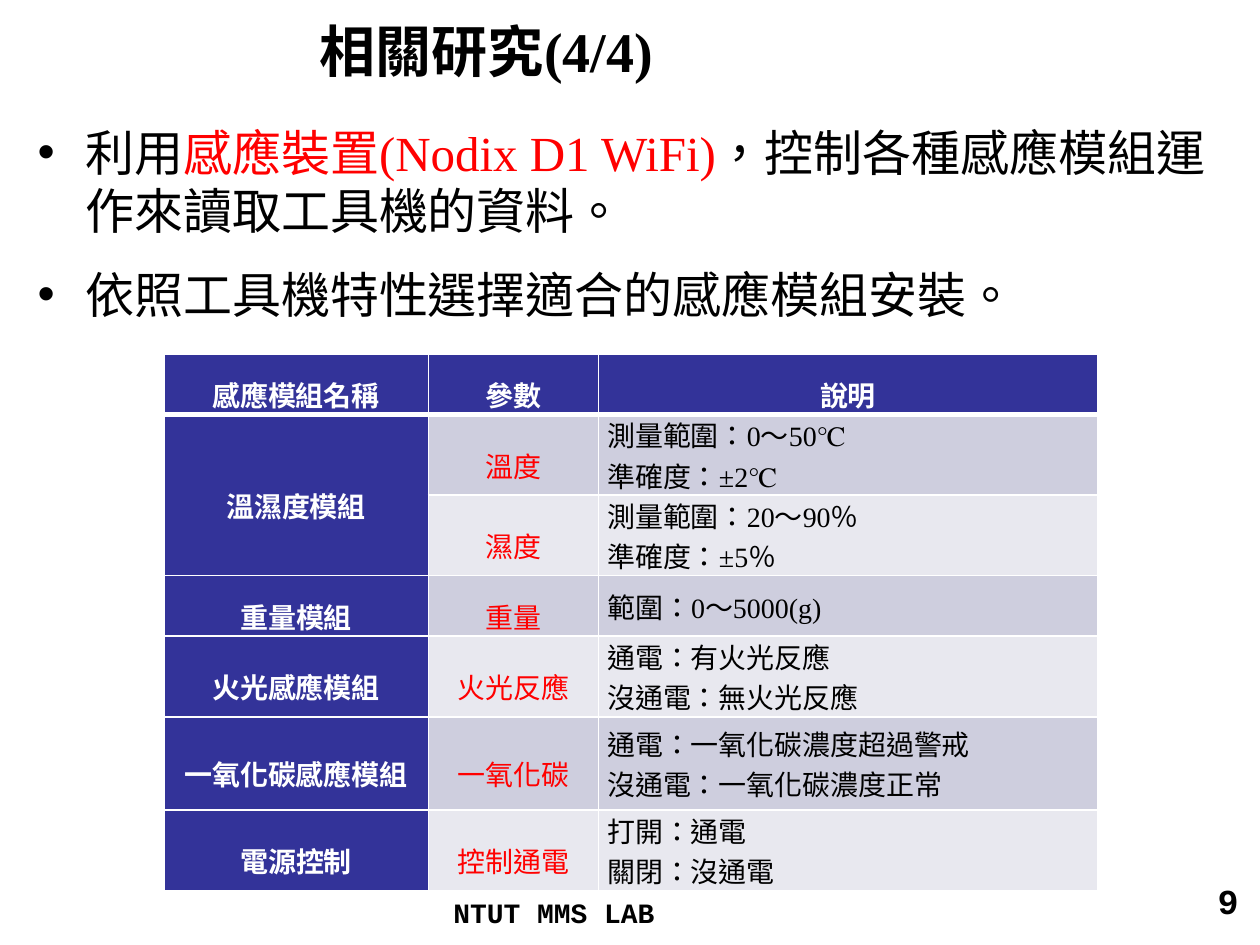
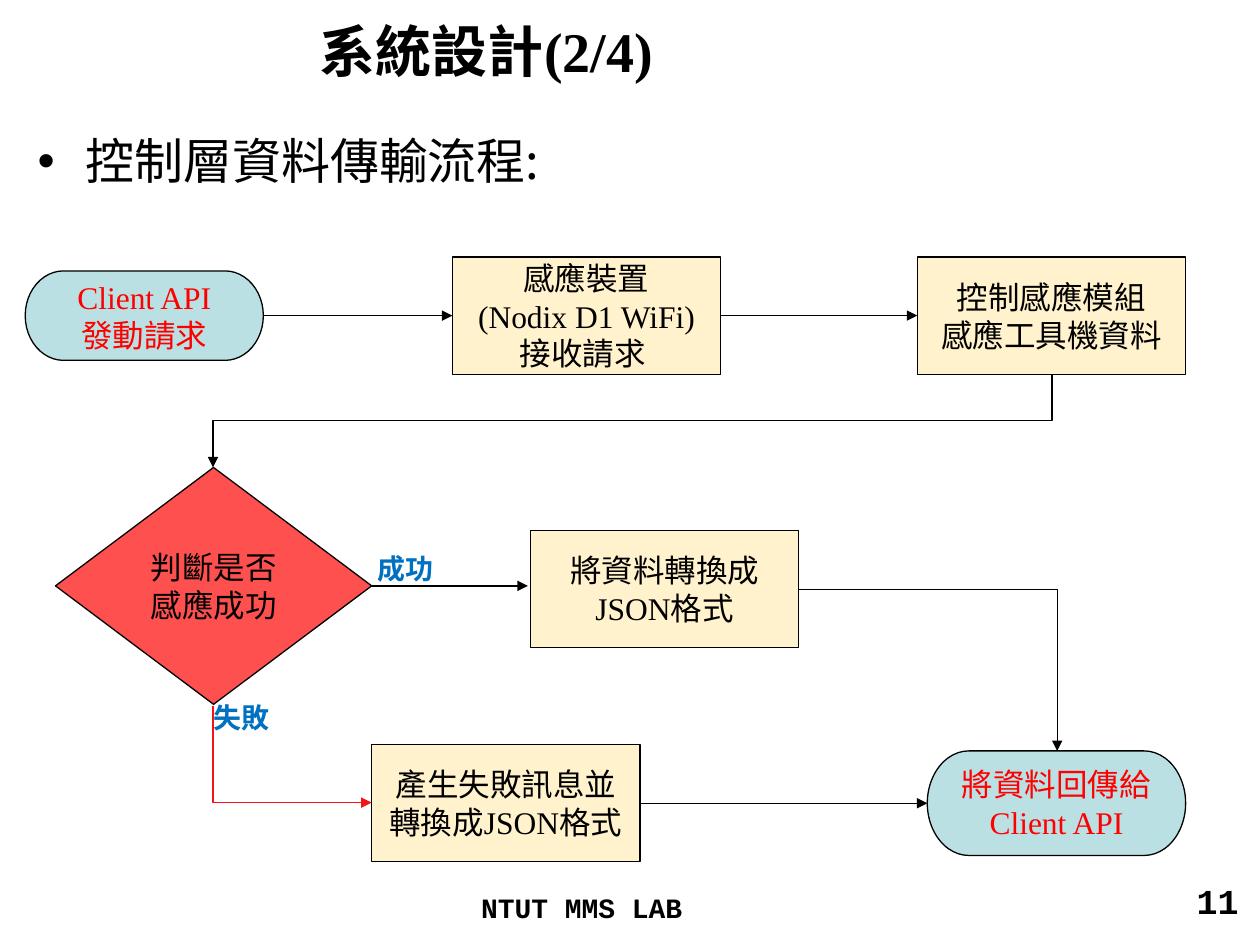
from pptx import Presentation
from pptx.dml.color import RGBColor
from pptx.enum.lang import MSO_LANGUAGE_ID as LANG
from pptx.enum.shapes import MSO_CONNECTOR as CONN, MSO_SHAPE as SHAPE
from pptx.enum.text import MSO_ANCHOR as ANCHOR, PP_ALIGN as ALIGN
from pptx.oxml.ns import qn
from pptx.util import Inches, Pt
from lxml import etree

COLORS = {
    "black": "000000", "white": "FFFFFF", "red": "FF0000", "label": "0070C0",
    "header": "333399", "band_dark": "CECEDE", "band_light": "E8E8EF",
    "terminal": "BBE0E3", "process": "FFF2CC", "decision": "FF5050",
    "failure": "F31515",
}
TIMES, NOTO, COURIER = "Times New Roman", "Noto Sans CJK SC", "Courier New"
FORMATS = {
    "title": dict(name=TIMES, size=Pt(32), bold=True),
    "body": dict(name=TIMES, size=Pt(28)),
    "body_cjk": dict(name=NOTO, size=Pt(28)),
    "footer": dict(name=COURIER, size=Pt(16), bold=True),
    "page": dict(name=COURIER, size=Pt(20), bold=True),
    "cell": dict(name=TIMES, size=Pt(16), bold=False),
    "cell_bold": dict(name=TIMES, size=Pt(16), bold=True),
    "step": dict(name=TIMES, size=Pt(18)),
    "label": dict(name=NOTO, size=Pt(16), bold=True),
}

MODULE_COLS = [2.1, 1.35, 3.96]
MODULE_ROW_HEIGHTS = [0.48, 0.64, 0.64, 0.48, 0.64, 0.74, 0.64]
MODULES = [
    ("感應模組名稱", "參數", "說明"),
    ("溫濕度模組", "溫度", "測量範圍：0〜50℃\n準確度：±2℃"),
    ("", "濕度", "測量範圍：20〜90％\n準確度：±5％"),
    ("重量模組", "重量", "範圍：0〜5000(g)"),
    ("火光感應模組", "火光反應", "通電：有火光反應\n沒通電：無火光反應"),
    ("一氧化碳感應模組", "一氧化碳", "通電：一氧化碳濃度超過警戒\n沒通電：一氧化碳濃度正常"),
    ("電源控制", "控制通電", "打開：通電\n關閉：沒通電"),
]


def rgb(color):
    return RGBColor.from_string(COLORS[color])


def add_run(p, text, fmt, color="black"):
    r = p.add_run()
    r.text = text
    for key, value in FORMATS[fmt].items():
        setattr(r.font, key, value)
    r.font.language_id = LANG.TAIWAN if hasattr(LANG, "TAIWAN") else LANG.TRADITIONAL_CHINESE
    r.font.color.rgb = rgb(color)
    ea = etree.SubElement(r.font._element, qn("a:ea"))
    ea.set("typeface", NOTO)


def write_lines(tf, text, fmt, color="black", align=ALIGN.LEFT, spacing=None):
    for i, line in enumerate(text.split("\n")):
        p = tf.add_paragraph() if i else tf.paragraphs[0]
        p.alignment = align
        p.line_spacing = spacing
        add_run(p, line, fmt, color)


def add_textbox(s, box, anchor=ANCHOR.TOP):
    tf = s.shapes.add_textbox(*map(Inches, box)).text_frame
    tf.word_wrap = True
    tf.vertical_anchor = anchor
    return tf


def add_bullets(s, top, items, fmt):
    """Each item is a list of (text, color) runs."""
    tf = add_textbox(s, (0.2, top, 9.69, 5.82))
    tf.margin_right = Inches(0.25)
    for i, runs in enumerate(items):
        p = tf.add_paragraph() if i else tf.paragraphs[0]
        if i:
            p.space_before = Pt(14.2)
        pPr = p._p.get_or_add_pPr()
        pPr.set("marL", str(Inches(0.38)))
        pPr.set("indent", str(-Inches(0.38)))
        etree.SubElement(pPr, qn("a:buFont")).set("typeface", "Arial")
        etree.SubElement(pPr, qn("a:buChar")).set("char", "•")
        for text, color in runs:
            add_run(p, text, fmt, color)


def add_slide(prs, title, page, footer_at):
    s = prs.slides.add_slide(prs.slide_layouts[6])
    write_lines(add_textbox(s, (2.44, 0, 7.56, 0.79), ANCHOR.MIDDLE), title, "title")
    write_lines(add_textbox(s, (*footer_at, 3.24, 0.32)), "NTUT MMS LAB", "footer")
    write_lines(add_textbox(s, (7.6, 6.93, 2.33, 0.52)), page, "page", align=ALIGN.RIGHT)
    return s


def add_borders(cell, row):
    """White rules, with a heavier one between the header and the first row."""
    heavy = {(0, "B"), (1, "T")}
    tcPr = cell._tc.get_or_add_tcPr()
    for side in "LRTB":
        ln = etree.SubElement(tcPr, qn(f"a:ln{side}"))
        ln.set("w", str(Pt(3 if (row, side) in heavy else 1)))
        fill = etree.SubElement(ln, qn("a:solidFill"))
        etree.SubElement(fill, qn("a:srgbClr")).set("val", COLORS["white"])


def fill_cell(cell, text, row, col):
    is_head = row == 0 or col == 0
    band = "band_dark" if row % 2 else "band_light"
    add_borders(cell, row)
    cell.fill.solid()
    cell.fill.fore_color.rgb = rgb("header" if is_head else band)
    cell.vertical_anchor = ANCHOR.MIDDLE
    cell.margin_left = cell.margin_right = Inches(0.07)
    cell.margin_top = cell.margin_bottom = 0
    if not text:
        return
    color = "white" if is_head else "red" if col == 1 else "black"
    centred = is_head or col == 1
    write_lines(cell.text_frame, text, "cell_bold" if is_head else "cell", color,
                ALIGN.CENTER if centred else ALIGN.LEFT, 1.5 if centred else None)


def add_module_table(s):
    frame = s.shapes.add_table(len(MODULES), len(MODULE_COLS), Inches(1.3), Inches(2.81),
                               Inches(sum(MODULE_COLS)), Inches(sum(MODULE_ROW_HEIGHTS)))
    table = frame.table
    for column, width in zip(table.columns, MODULE_COLS):
        column.width = Inches(width)
    for row, height in zip(table.rows, MODULE_ROW_HEIGHTS):
        row.height = Inches(height)
    for i, texts in enumerate(MODULES):
        for j, text in enumerate(texts):
            fill_cell(table.cell(i, j), text, i, j)
    table.cell(1, 0).merge(table.cell(2, 0))


def add_step(s, preset, box, text, fill, color="black"):
    sp = s.shapes.add_shape(preset, *map(Inches, box))
    sp.shadow.inherit = False
    sp.fill.solid()
    sp.fill.fore_color.rgb = rgb(fill)
    sp.line.color.rgb = rgb("black")
    sp.line.width = Pt(0.75)
    sp.text_frame.word_wrap = True
    sp.text_frame.vertical_anchor = ANCHOR.MIDDLE
    write_lines(sp.text_frame, text, "step", color, ALIGN.CENTER)
    return sp


def add_process(s, left, top, text):
    return add_step(s, SHAPE.FLOWCHART_PROCESS, (left, top, 2.13, 0.93), text, "process")


def add_terminal(s, box, text):
    return add_step(s, SHAPE.FLOWCHART_TERMINATOR, box, text, "terminal", "red")


def add_arrow(s, kind, start, end, color="black"):
    c = s.shapes.add_connector(kind, *map(Inches, (*start, *end)))
    c.line.color.rgb = rgb(color)
    c.line.width = Pt(0.75)
    etree.SubElement(c.line._get_or_add_ln(), qn("a:tailEnd")).set("type", "triangle")
    etree.SubElement(c._element.spPr, qn("a:effectLst"))
    return c


def join(s, source, target):
    """Straight arrow from the right side of source to the left side of target."""
    c = add_arrow(s, CONN.STRAIGHT, (0, 0), (1, 1))
    c.begin_connect(source, 3)
    c.end_connect(target, 1)


def add_elbow(s, start, end, preset, downward=False, color="black"):
    """Bent arrow; a downward one leaves vertically, so its frame is turned."""
    (x1, y1), (x2, y2) = start, end
    turn = 0
    if downward:
        cx, cy = (x1 + x2) / 2, (y1 + y2) / 2
        half_w, half_h = abs(y2 - y1) / 2, abs(x2 - x1) / 2
        turn = 90 if x2 < x1 else 270
        if turn == 270:
            half_w = -half_w
        start, end = (cx - half_w, cy - half_h), (cx + half_w, cy + half_h)
    c = add_arrow(s, CONN.ELBOW, start, end, color)
    spPr = c._element.spPr
    spPr.find(qn("a:prstGeom")).set("prst", preset)
    if turn:
        spPr.find(qn("a:xfrm")).set("rot", str(turn * 60000))


def add_label(s, box, text):
    write_lines(add_textbox(s, box), text, "label", "label", ALIGN.CENTER)


def build_related_work(prs):
    s = add_slide(prs, "相關研究(4/4)", "9", (3.5, 7.06))
    add_bullets(s, 0.92, [
        [("利用", "black"), ("感應裝置(Nodix D1 WiFi)", "red"),
         ("，控制各種感應模組運作來讀取工具機的資料。", "black")],
        [("依照工具機特性選擇適合的感應模組安裝。", "black")],
    ], "body")
    add_module_table(s)


def build_system_design(prs):
    s = add_slide(prs, "系統設計(2/4)", "11", (3.72, 7.02))
    add_bullets(s, 0.99, [[("控制層資料傳輸流程:", "black")]], "body_cjk")

    request = add_terminal(s, (0.2, 2.15, 1.89, 0.71), "Client API\n發動請求")
    device = add_process(s, 3.59, 2.04, "感應裝置\n(Nodix D1 WiFi)\n接收請求 ")
    sensing = add_process(s, 7.28, 2.04, "控制感應模組\n感應工具機資料")
    check = add_step(s, SHAPE.FLOWCHART_DECISION, (0.44, 3.71, 2.51, 1.88),
                     "判斷是否感應成功", "decision")
    failure = add_process(s, 2.95, 5.91, "產生失敗訊息並轉換成JSON格式")
    add_process(s, 4.21, 4.21, "將資料轉換成JSON格式")
    reply = add_terminal(s, (7.36, 5.96, 2.05, 0.83), "將資料回傳給Client API")

    for source, target in ((request, device), (device, sensing), (failure, reply)):
        join(s, source, target)
    success = add_arrow(s, CONN.STRAIGHT, (2.95, 4.65), (4.19, 4.65))
    success.begin_connect(check, 3)
    add_elbow(s, (8.35, 2.97), (1.69, 3.71), "bentConnector3", downward=True)
    add_elbow(s, (1.69, 5.6), (2.95, 6.37), "bentConnector2", downward=True, color="failure")
    add_elbow(s, (6.34, 4.68), (8.39, 5.96), "bentConnector2")

    add_label(s, (2.84, 4.33, 0.76, 0.37), "成功")
    add_label(s, (1.5, 5.51, 0.84, 0.37), "失敗")


def main():
    prs = Presentation()
    prs.slide_width, prs.slide_height = Inches(10), Inches(7.5)
    build_related_work(prs)
    build_system_design(prs)
    prs.save("out.pptx")


if __name__ == "__main__":
    main()
